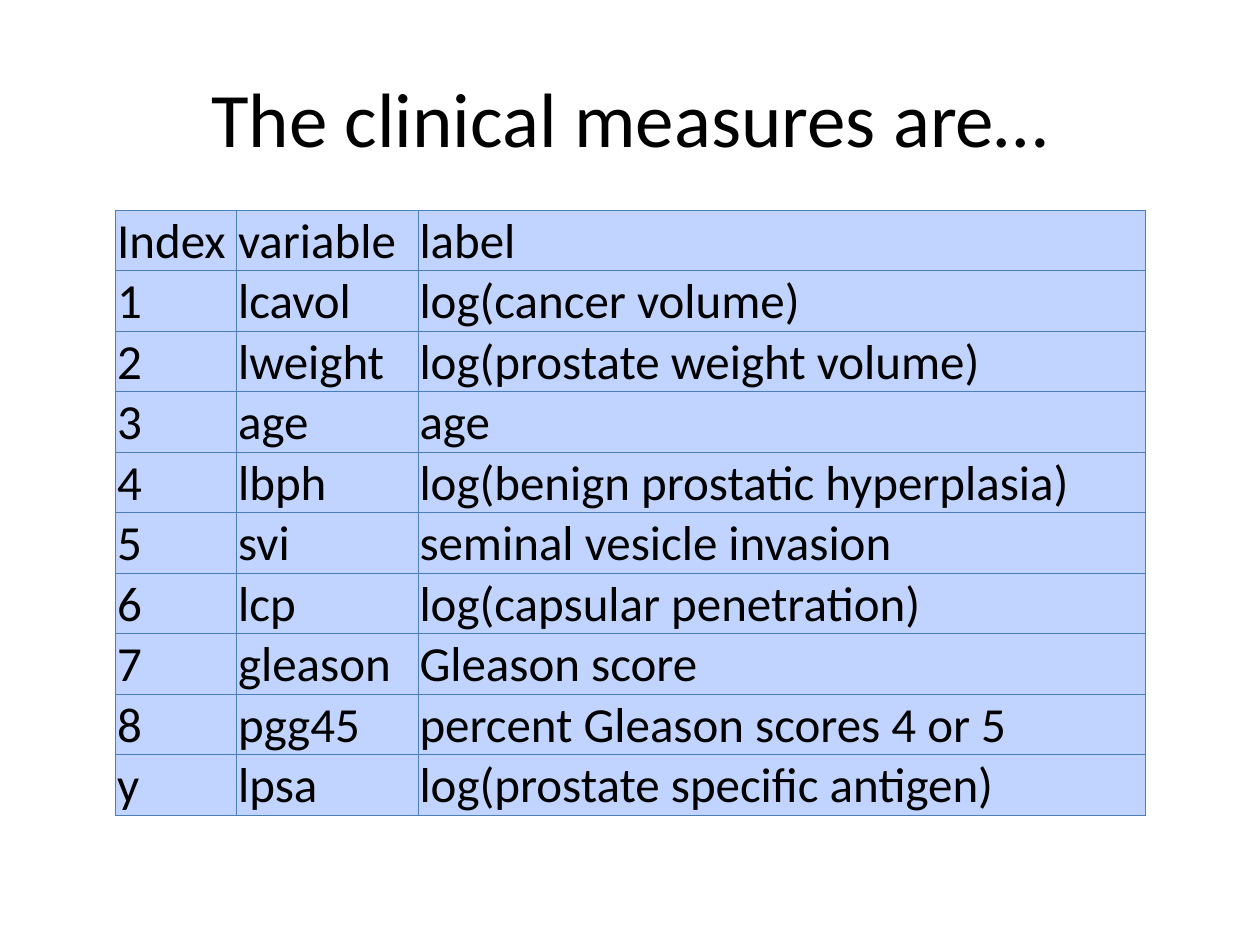
from lxml.etree import SubElement
from pptx import Presentation
from pptx.dml.color import RGBColor
from pptx.enum.text import MSO_ANCHOR, PP_ALIGN
from pptx.oxml.ns import qn
from pptx.util import Inches, Pt

COLORS = {"text": "000000", "cell": "C0D4FF", "border": "4B7EBC"}
FONT = "Calibri"
COLUMN_WIDTHS = [0.96, 1.44, 5.77]
ROW_HEIGHT = 0.48
MEASURES = [
    ("Index", "variable", "label"),
    ("1", "lcavol", "log(cancer volume)"),
    ("2", "lweight", "log(prostate weight volume)"),
    ("3", "age", "age"),
    ("4", "lbph", "log(benign prostatic hyperplasia)"),
    ("5", "svi", "seminal vesicle invasion"),
    ("6", "lcp", "log(capsular penetration)"),
    ("7", "gleason", "Gleason score"),
    ("8", "pgg45", "percent Gleason scores 4 or 5"),
    ("y", "lpsa", "log(prostate specific antigen)"),
]


def write_text(text_frame, text, size=28, color="text", align=PP_ALIGN.LEFT):
    paragraph = text_frame.paragraphs[0]
    paragraph.alignment = align
    run = paragraph.add_run()
    run.text = text
    run.font.name = FONT
    run.font.size = Pt(size)
    run.font.color.rgb = RGBColor.from_string(COLORS[color])


def add_title(slide, text):
    shape = slide.shapes.add_textbox(Inches(0.5), Inches(0.3), Inches(9), Inches(1.25))
    shape.text_frame.word_wrap = True
    shape.text_frame.vertical_anchor = MSO_ANCHOR.MIDDLE
    write_text(shape.text_frame, text, size=44, align=PP_ALIGN.CENTER)


def set_borders(cell, color, width):
    properties = cell._tc.get_or_add_tcPr()
    for side in ("a:lnL", "a:lnR", "a:lnT", "a:lnB"):
        line = SubElement(properties, qn(side), w=str(Pt(width)))
        fill = SubElement(line, qn("a:solidFill"))
        SubElement(fill, qn("a:srgbClr"), val=color)


def format_cell(cell):
    cell.margin_left = cell.margin_right = cell.margin_top = Inches(0.01)
    cell.margin_bottom = 0
    cell.vertical_anchor = MSO_ANCHOR.BOTTOM
    set_borders(cell, COLORS["border"], 0.75)
    cell.fill.solid()
    cell.fill.fore_color.rgb = RGBColor.from_string(COLORS["cell"])


def add_measures_table(slide, rows):
    table = slide.shapes.add_table(
        len(rows), len(COLUMN_WIDTHS), Inches(0.92), Inches(1.67),
        Inches(sum(COLUMN_WIDTHS)), Inches(ROW_HEIGHT * len(rows)),
    ).table
    table.first_row = table.horz_banding = False
    for column, width in zip(table.columns, COLUMN_WIDTHS):
        column.width = Inches(width)
    for row, texts in zip(table.rows, rows):
        row.height = Inches(ROW_HEIGHT)
        for cell, text in zip(row.cells, texts):
            format_cell(cell)
            write_text(cell.text_frame, text)


def main():
    presentation = Presentation()
    presentation.slide_width = Inches(10)
    presentation.slide_height = Inches(7.5)
    slide = presentation.slides.add_slide(presentation.slide_layouts[6])
    add_title(slide, "The clinical measures are…")
    add_measures_table(slide, MEASURES)
    presentation.save("out.pptx")


if __name__ == "__main__":
    main()
